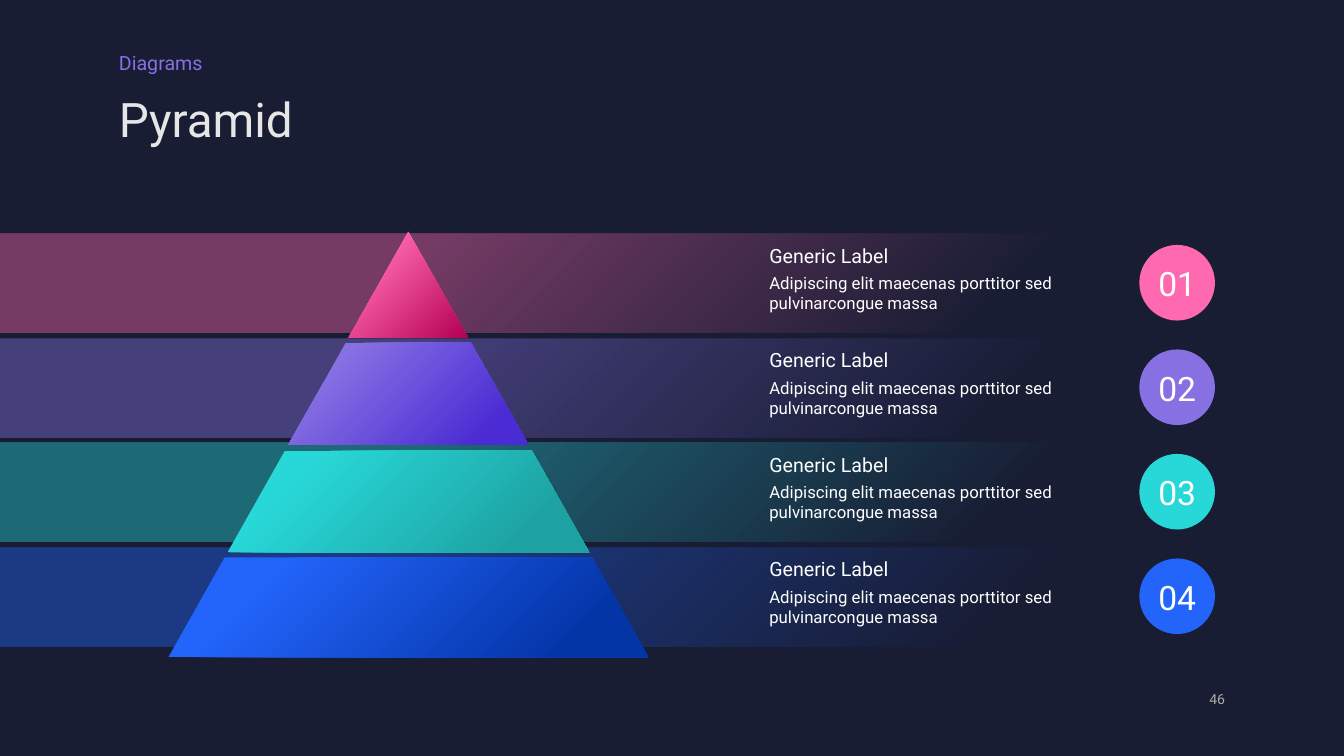
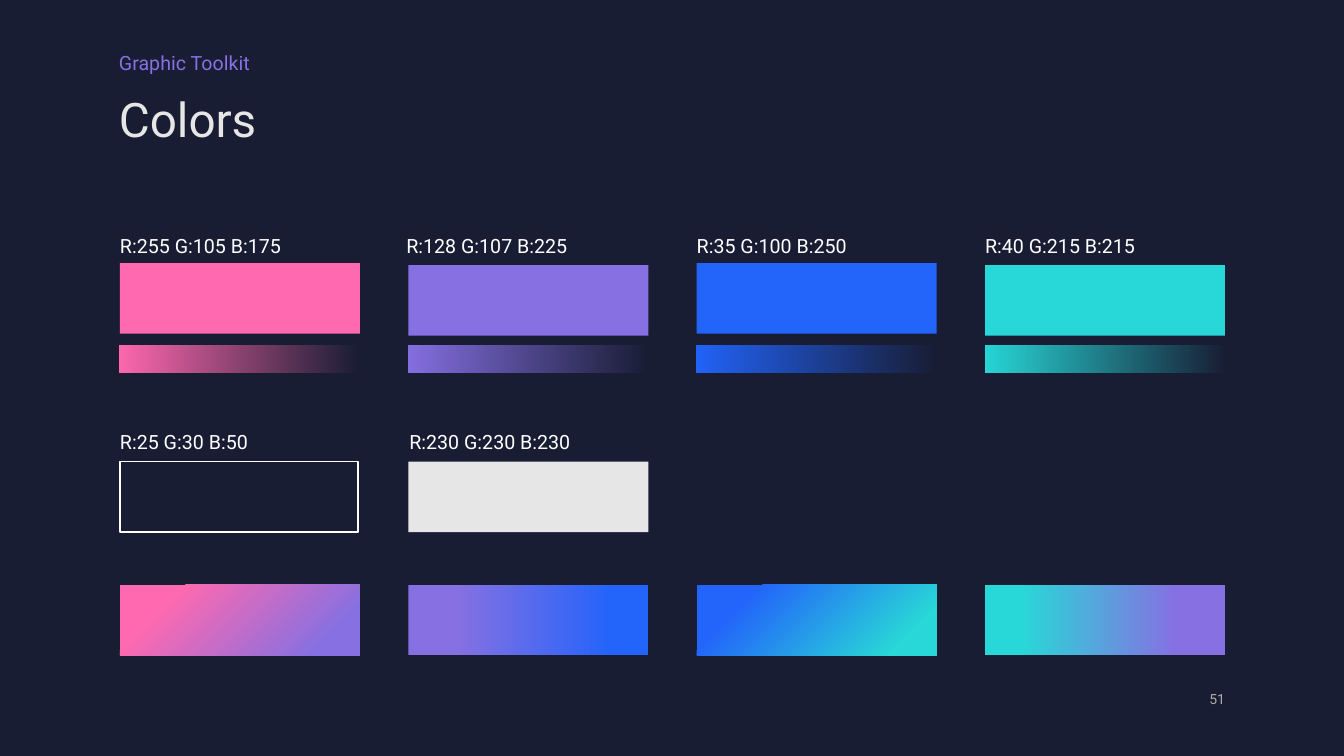
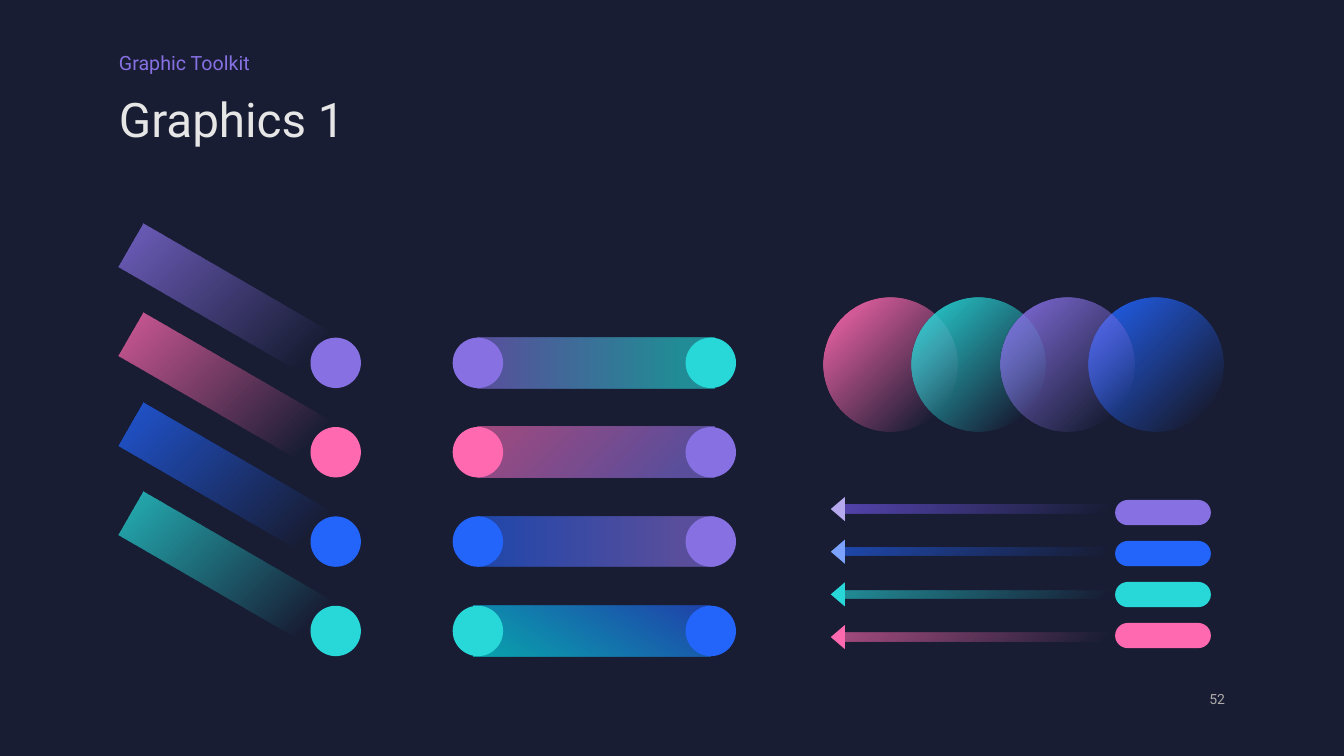
from dataclasses import dataclass
from typing import Optional, Union

from pptx import Presentation
from pptx import oxml, util as u
from pptx.dml.color import RGBColor
from pptx.enum import shapes, text
from pptx.oxml.ns import nsdecls, qn
from pptx.util import Inches

FONT = "Roboto"
COLORS = {
    "night": "181D34", "white": "FFFFFF", "title": "E7E6E6", "light": "E6E6E6",
    "number": "AFABAB", "pink": "FF69AF", "purple": "8670E2", "teal": "28D7D7",
    "blue": "2364FA", "dark pink": "B40054", "dark purple": "4B2BD3",
    "dark teal": "1EA1A1", "dark blue": "0435A7", "cyan": "00FFFF",
    "violet": "7B5DFD", "pale purple": "B6A9EE", "pale blue": "7BA2FC",
}
SHAPE = shapes.MSO_SHAPE
ALIGN = text.PP_ALIGN
LABEL_INSETS = (0, 0.05, 0.1, 0.05)


@dataclass(frozen=True)
class Stop:
    position: int
    color: str
    alpha: int = 100


@dataclass(frozen=True)
class Gradient:
    """A blend at an angle, or from the bottom right corner if angle is None."""
    start: Stop
    end: Stop
    angle: Optional[int] = 0


@dataclass(frozen=True)
class Line:
    words: str
    size: int
    color: str = "white"
    align: ALIGN = ALIGN.LEFT
    after: int = 0
    spacing: float = 1.0


@dataclass(frozen=True)
class Layer:
    color: str
    shade: str
    shade_end: int
    top: float
    bottom: float


@dataclass(frozen=True)
class Swatch:
    color: str
    label: str
    label_left: float
    top: float


@dataclass(frozen=True)
class Link:
    left_color: str
    right_color: str
    fill: Gradient
    left: float = 4.74


@dataclass(frozen=True)
class Arrow:
    color: str
    bar: str
    head: str


Fill = Union[str, Gradient, None]


def rgb(name: str) -> RGBColor:
    return RGBColor.from_string(COLORS[name])


def corner_fade(color: str, clear_to: int, full_from: int, alpha: int) -> Gradient:
    return Gradient(Stop(clear_to, color, 0), Stop(full_from, color, alpha), None)


def gradient_element(gradient: Gradient):
    stops = "".join(
        f'<a:gs pos="{stop.position * 1000}"><a:srgbClr val="{COLORS[stop.color]}">'
        f'<a:alpha val="{stop.alpha * 1000}"/></a:srgbClr></a:gs>'
        for stop in (gradient.start, gradient.end))
    if gradient.angle is None:
        course = '<a:path path="circle"><a:fillToRect l="100000" t="100000"/></a:path>'
    else:
        course = f'<a:lin ang="{gradient.angle * 60000}" scaled="0"/>'
    return oxml.parse_xml(f'<a:gradFill {nsdecls("a")} rotWithShape="1">'
                          f'<a:gsLst>{stops}</a:gsLst>{course}</a:gradFill>')


def paint(shape, fill: Fill) -> None:
    shape.shadow.inherit = False
    shape.line.fill.background()
    if isinstance(fill, str):
        shape.fill.solid()
        shape.fill.fore_color.rgb = rgb(fill)
        return
    shape.fill.background()
    if fill:
        properties = shape._element.spPr
        properties.replace(properties.find(qn("a:noFill")), gradient_element(fill))


def add_shape(page, kind: SHAPE, left: float, top: float, width: float,
              height: float, fill: Fill, rotation: float = 0):
    shape = page.shapes.add_shape(kind, Inches(left), Inches(top),
                                  Inches(width), Inches(height))
    if kind == SHAPE.ROUNDED_RECTANGLE:
        shape.adjustments[0] = 0.5
    shape.rotation = rotation
    paint(shape, fill)
    return shape


def add_text(page, left: float, top: float, width: float, height: float,
             *lines: Line, insets=(0, 0, 0, 0), anchor=text.MSO_ANCHOR.TOP) -> None:
    box = page.shapes.add_textbox(Inches(left), Inches(top),
                                  Inches(width), Inches(height))
    frame = box.text_frame
    frame.word_wrap = True
    frame.vertical_anchor = anchor
    (frame.margin_left, frame.margin_top,
     frame.margin_right, frame.margin_bottom) = map(Inches, insets)
    for index, line in enumerate(lines):
        para = frame.add_paragraph() if index else frame.paragraphs[0]
        para.alignment = line.align
        para.space_after = u.Pt(line.after)
        para.line_spacing = line.spacing
        span = para.add_run()
        span.text = line.words
        span.font.name = FONT
        span.font.size = u.Pt(line.size)
        span.font.color.rgb = rgb(line.color)


def add_page(deck, section: str, title: str, number: int):
    """Add a slide with the shared background, headings and page number."""
    page = deck.slides.add_slide(deck.slide_layouts[6])
    page.background.fill.solid()
    page.background.fill.fore_color.rgb = rgb("night")
    add_text(page, 1.18, 0.48, 5.26, 0.25,
             Line(section, 14, "purple", after=9, spacing=1.1))
    add_text(page, 1.18, 0.96, 9.76, 0.76, Line(title, 34, "title", spacing=0.9))
    add_text(page, 11.57, 6.75, 0.58, 0.27,
             Line(str(number), 10, "number", ALIGN.RIGHT, after=4),
             anchor=text.MSO_ANCHOR.BOTTOM)
    return page


def add_layer(page, layer: Layer) -> None:
    """Draw one slice of the pyramid between its top and bottom."""
    center, apex, slope = 4.05, 2.3, 2.38 / 4.22
    upper, lower = ((y - apex) * slope for y in (layer.top, layer.bottom))
    corners = [(center + upper, layer.top), (center + lower, layer.bottom),
               (center - lower, layer.bottom)]
    builder = page.shapes.build_freeform(Inches(center - upper), Inches(layer.top))
    builder.add_line_segments([(Inches(x), Inches(y)) for x, y in corners])
    paint(builder.convert_to_shape(),
          Gradient(Stop(20, layer.color), Stop(layer.shade_end, layer.shade), 45))


def build_pyramid(deck) -> None:
    page = add_page(deck, "Diagrams", "Pyramid", 46)
    layers = [
        Layer("pink", "dark pink", 100, 2.3, 3.35),
        Layer("purple", "dark purple", 85, 3.4, 4.41),
        Layer("teal", "dark teal", 85, 4.47, 5.48),
        Layer("blue", "dark blue", 85, 5.53, 6.52),
    ]
    pitch = 3.11 / 3
    for index, layer in enumerate(layers):
        add_shape(page, SHAPE.ROUNDED_RECTANGLE, -1.55, 2.32 + index * pitch,
                  13.7, 0.98, corner_fade(layer.color, 18, 60, 40))
    for index, layer in enumerate(layers):
        shift = index * pitch
        add_layer(page, layer)
        add_shape(page, SHAPE.OVAL, 11.3, 2.43 + shift, 0.75, 0.75, layer.color)
        add_text(page, 11.35, 2.61 + shift, 0.65, 0.4,
                 Line(f"{index + 1:02}", 24, align=ALIGN.CENTER, after=4))
        add_text(page, 7.63, 2.42 + shift, 3.08, 0.7,
                 Line("Generic Label", 14, after=4),
                 Line("Adipiscing elit maecenas porttitor sed pulvinarcongue massa", 12))


def build_colors(deck) -> None:
    page = add_page(deck, "Graphic Toolkit", "Colors", 51)
    width, height = 2.38, 0.7
    columns = [1.19 + 2.86 * index for index in range(4)]
    swatches = [
        Swatch("pink", "R:255 G:105 B:175", 1.19, 2.61),
        Swatch("purple", "R:128 G:107 B:225", 4.03, 2.63),
        Swatch("blue", "R:35 G:100 B:250", 6.91, 2.61),
        Swatch("teal", "R:40 G:215 B:215", 9.77, 2.63),
    ]
    for left, swatch in zip(columns, swatches):
        add_text(page, swatch.label_left, 2.27, width, 0.34,
                 Line(swatch.label, 14), insets=LABEL_INSETS)
        add_shape(page, SHAPE.RECTANGLE, left, swatch.top, width, height, swatch.color)
        add_shape(page, SHAPE.RECTANGLE, left, 3.43, width, 0.27,
                  Gradient(Stop(0, swatch.color), Stop(100, swatch.color, 0)))

    for left, label in ((1.19, "R:25 G:30 B:50"), (4.06, "R:230 G:230 B:230")):
        add_text(page, left, 4.22, width, 0.34, Line(label, 14), insets=LABEL_INSETS)
    outline = add_shape(page, SHAPE.RECTANGLE, columns[0], 4.58, 2.36, height, None)
    outline.line.color.rgb = rgb("white")
    outline.line.width = u.Pt(1)
    add_shape(page, SHAPE.RECTANGLE, columns[1], 4.58, width, height, "light")

    blends = [
        Gradient(Stop(20, "pink"), Stop(85, "purple"), 45),
        Gradient(Stop(20, "purple"), Stop(85, "blue")),
        Gradient(Stop(20, "blue"), Stop(85, "teal"), 45),
        Gradient(Stop(15, "teal"), Stop(80, "purple")),
    ]
    for left, blend in zip(columns, blends):
        add_shape(page, SHAPE.RECTANGLE, left, 5.8, width, height, blend)


def build_graphics(deck) -> None:
    page = add_page(deck, "Graphic Toolkit", "Graphics 1", 52)
    dot, length = 0.5, 2.35
    rows = [3.35 + index * 2.66 / 3 for index in range(4)]

    for top, color in zip(rows, ("purple", "pink", "blue", "teal")):
        add_shape(page, SHAPE.RECTANGLE, 1.14, top - 0.58, length, dot,
                  corner_fade(color, 18, 100, 80), rotation=30)
        add_shape(page, SHAPE.OVAL, 3.08, top, dot, dot, color)

    links = [
        Link("purple", "teal", Gradient(Stop(0, "purple", 60), Stop(85, "teal", 60))),
        Link("pink", "purple",
             Gradient(Stop(0, "pink", 60), Stop(85, "purple", 60), 45)),
        Link("blue", "purple", Gradient(Stop(0, "blue", 60), Stop(85, "purple", 60))),
        Link("teal", "blue",
             Gradient(Stop(7, "blue", 60), Stop(99, "cyan", 60), 120), left=4.7),
    ]
    for top, link in zip(rows, links):
        add_shape(page, SHAPE.RECTANGLE, link.left, top, length, dot, link.fill)
        add_shape(page, SHAPE.OVAL, 4.49, top, dot, dot, link.left_color)
        add_shape(page, SHAPE.OVAL, 6.8, top, dot, dot, link.right_color)

    for left, color in ((8.17, "pink"), (9.04, "teal"), (10.8, "blue"), (9.92, "purple")):
        add_shape(page, SHAPE.OVAL, left, 2.95, 1.33, 1.33,
                  corner_fade(color, 14, 100, 100))

    arrows = [
        Arrow("purple", "violet", "pale purple"),
        Arrow("blue", "blue", "pale blue"),
        Arrow("teal", "teal", "teal"),
        Arrow("pink", "pink", "pink"),
    ]
    for index, arrow in enumerate(arrows):
        top = 5.01 + index * 1.27 / 3
        add_shape(page, SHAPE.RECTANGLE, 8.38, top, 2.88, 0.08,
                  corner_fade(arrow.bar, 11, 100, 60))
        add_shape(page, SHAPE.ISOSCELES_TRIANGLE, 8.19, top - 0.03, 0.24, 0.14,
                  arrow.head, rotation=270)
        add_shape(page, SHAPE.ROUNDED_RECTANGLE, 11.06, 4.96 + index * 1.22 / 3,
                  0.95, 0.25, arrow.color)


def main() -> None:
    deck = Presentation()
    deck.slide_width, deck.slide_height = Inches(13.33), Inches(7.5)
    build_pyramid(deck)
    build_colors(deck)
    build_graphics(deck)
    deck.save("out.pptx")


if __name__ == "__main__":
    main()
